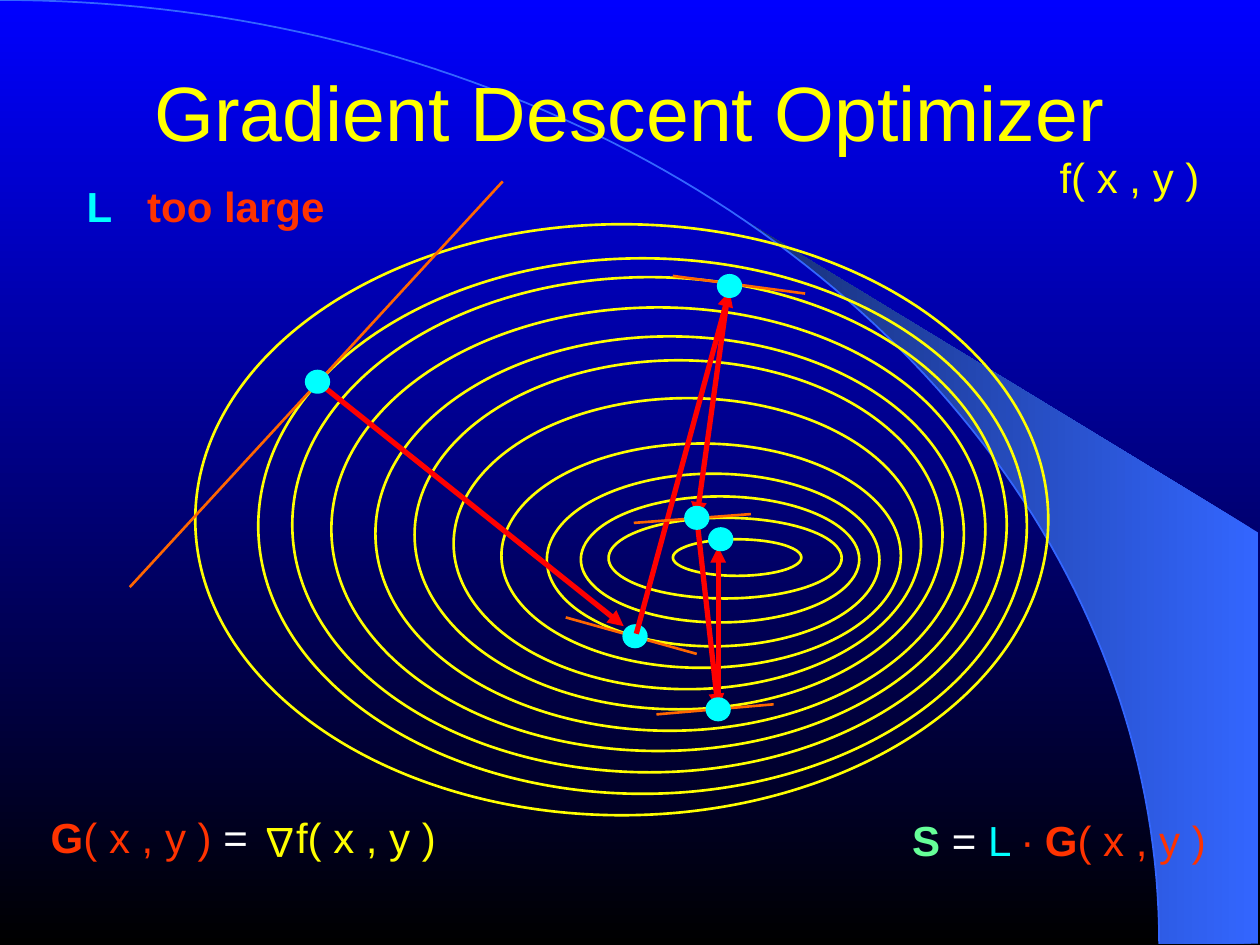
"""Build a slide on gradient descent with a step size that is too large."""
from dataclasses import dataclass
from math import cos, radians, sin

from lxml.etree import SubElement
from pptx import Presentation
from pptx.dml.color import RGBColor
from pptx.enum.shapes import MSO_CONNECTOR, MSO_SHAPE
from pptx.enum.text import MSO_ANCHOR, PP_ALIGN
from pptx.oxml.ns import qn
from pptx.util import Inches, Pt


@dataclass(frozen=True)
class Theme:
    font: str = "Arial"
    title_size: int = 44
    label_size: int = 24
    yellow: str = "FFFF00"
    cyan: str = "00FFFF"
    red: str = "FF0000"
    scarlet: str = "FF3300"
    orange: str = "FF6600"
    green: str = "66FF99"
    white: str = "FFFFFF"
    sky: str = "3366FF"
    navy: str = "172F75"
    top: str = "0000FF"
    bottom: str = "000000"


THEME = Theme()
WIDTH, HEIGHT = 10, 7.5
ARC_WIDTH, ARC_HEIGHT = 9.2, 7.49
DOT_WIDTH, DOT_HEIGHT = 0.18, 0.17

TITLE = ((0.75, 0.12, 8.5, 1.51), [("Gradient Descent Optimizer", THEME.yellow, False)])
FUNCTION = [("f( x , y )", THEME.yellow, False)]
LABELS = [
    ((8.15, 1.23, 1.63, 0.42), FUNCTION, {}),
    ((6.88, 6.49, 3.05, 0.42), [
        ("S ", THEME.green, True), ("= ", THEME.white, False), ("L ", THEME.cyan, False),
        ("∙ ", THEME.scarlet, False), ("G", THEME.scarlet, True),
        ("( x , y )", THEME.scarlet, False)], {}),
    ((2.09, 6.47, 1.63, 0.42), FUNCTION, {}),
    ((2.05, 6.46, 0.37, 0.42), [("∆", THEME.yellow, False)], {"rotation": 180}),
    ((0.14, 6.47, 2.09, 0.42), [
        ("G", THEME.scarlet, True), ("( x , y ) ", THEME.scarlet, False),
        ("=", THEME.white, False)], {}),
    ((0.59, 1.46, 2.57, 0.42), [
        ("L", THEME.cyan, True), ("\ttoo large", THEME.scarlet, True)],
     {"align": PP_ALIGN.LEFT, "tab": 0.48}),
]
CONTOURS = [
    (4.34, 3.76, 2.64, 1.37), (3.98, 3.52, 3.17, 1.78), (3.6, 3.16, 3.71, 2.31),
    (3.29, 2.86, 4.19, 2.77), (2.98, 2.67, 4.67, 3.13), (2.63, 2.44, 5.19, 3.52),
    (2.32, 2.2, 5.67, 3.93), (2.05, 2.05, 6.1, 4.25), (1.55, 1.78, 6.77, 4.69),
    (4.61, 3.94, 2.21, 1), (4.83, 4.11, 1.85, 0.64), (5.34, 4.28, 1.02, 0.29),
]
DESCENT = [
    ("step", (2.52, 3.03), (4.95, 4.97)),
    ("tangent", (1.03, 4.66), (3.99, 1.44)),
    ("dot", (2.52, 3.03)),
    ("tangent", (5.53, 5.19), (4.49, 4.9)),
    ("dot", (5.04, 5.05)),
    ("step", (5.05, 5.03), (5.79, 2.31)),
    ("tangent", (6.39, 2.33), (5.34, 2.19)),
    ("step", (5.79, 2.24), (5.53, 4.11)),
    ("dot", (5.79, 2.27)),
    ("tangent", (5.96, 4.08), (5.03, 4.15)),
    ("step", (5.53, 4.11), (5.7, 5.63)),
    ("dot", (5.53, 4.11)),
    ("tangent", (6.14, 5.59), (5.21, 5.67)),
    ("step", (5.7, 5.63), (5.7, 4.34)),
    ("dot", (5.72, 4.28)),
    ("dot", (5.7, 5.63)),
]


def set_gradient(fill, colors, angle):
    fill.gradient()
    fill.gradient_angle = angle
    for stop, color, position in zip(fill.gradient_stops, colors, (0, 1)):
        stop.color.rgb = RGBColor.from_string(color)
        stop.position = position


def set_line(line, color, width):
    line.color.rgb = RGBColor.from_string(color)
    line.width = Pt(width)


def arc_points(first_degree):
    return [(ARC_WIDTH * sin(radians(degree)), ARC_HEIGHT * (1 - cos(radians(degree))))
            for degree in range(first_degree, 91)]


def add_outline(slide, points, close):
    start, *rest = [(Inches(x), Inches(y)) for x, y in points]
    builder = slide.shapes.build_freeform(*start)
    builder.add_line_segments(rest, close=close)
    shape = builder.convert_to_shape()
    shape.shadow.inherit = False
    return shape


def add_backdrop(slide):
    set_gradient(slide.background.fill, (THEME.top, THEME.bottom), 270)
    corners = [(ARC_WIDTH, ARC_HEIGHT), (9.99, ARC_HEIGHT), (9.99, 4.23)]
    beam = add_outline(slide, corners + arc_points(40), True)
    set_gradient(beam.fill, (THEME.sky, THEME.navy), 180)
    beam.line.fill.background()
    arc = add_outline(slide, arc_points(0), False)
    arc.fill.background()
    set_line(arc.line, THEME.sky, 1)


def add_text(slide, box, runs, size=THEME.label_size, align=PP_ALIGN.CENTER,
             anchor=MSO_ANCHOR.TOP, insets=(0.1, 0.05), spacing=0.8, rotation=0, tab=None):
    shape = slide.shapes.add_textbox(*map(Inches, box))
    shape.rotation = rotation
    frame = shape.text_frame
    frame.word_wrap = True
    frame.vertical_anchor = anchor
    frame.margin_left = frame.margin_right = Inches(insets[0])
    frame.margin_top = frame.margin_bottom = Inches(insets[1])
    paragraph = frame.paragraphs[0]
    paragraph.alignment = align
    paragraph.line_spacing = spacing
    if tab:
        tabs = SubElement(paragraph._p.get_or_add_pPr(), qn("a:tabLst"))
        SubElement(tabs, qn("a:tab"), pos=str(Inches(tab)), algn="l")
    for text, color, bold in runs:
        run = paragraph.add_run()
        run.text = text
        run.font.name = THEME.font
        run.font.size = Pt(size)
        run.font.bold = bold
        run.font.color.rgb = RGBColor.from_string(color)


def add_ellipse(slide, box, color, filled=False):
    shape = slide.shapes.add_shape(MSO_SHAPE.OVAL, *map(Inches, box))
    shape.shadow.inherit = False
    set_line(shape.line, color, 1.5)
    if filled:
        shape.fill.solid()
        shape.fill.fore_color.rgb = RGBColor.from_string(color)
    else:
        shape.fill.background()


def add_line(slide, start, end, color, width, arrow=False):
    connector = slide.shapes.add_connector(
        MSO_CONNECTOR.STRAIGHT, *map(Inches, start + end))
    set_line(connector.line, color, width)
    if arrow:
        SubElement(connector.line._get_or_add_ln(), qn("a:tailEnd"), type="triangle")
    SubElement(connector._element.spPr, qn("a:effectLst"))


def add_descent(slide):
    for kind, *points in DESCENT:
        if kind == "dot":
            x, y = points[0]
            box = (x - DOT_WIDTH / 2, y - DOT_HEIGHT / 2, DOT_WIDTH, DOT_HEIGHT)
            add_ellipse(slide, box, THEME.cyan, filled=True)
        elif kind == "step":
            add_line(slide, *points, THEME.red, 3, arrow=True)
        else:
            add_line(slide, *points, THEME.orange, 1.5)


def main():
    presentation = Presentation()
    presentation.slide_width, presentation.slide_height = Inches(WIDTH), Inches(HEIGHT)
    slide = presentation.slides.add_slide(presentation.slide_layouts[6])
    add_backdrop(slide)
    add_text(slide, *TITLE, size=THEME.title_size, anchor=MSO_ANCHOR.MIDDLE,
             insets=(0, 0), spacing=1.0)
    for box in CONTOURS:
        add_ellipse(slide, box, THEME.yellow)
    add_descent(slide)
    for box, runs, options in LABELS:
        add_text(slide, box, runs, **options)
    presentation.save("out.pptx")


if __name__ == "__main__":
    main()
